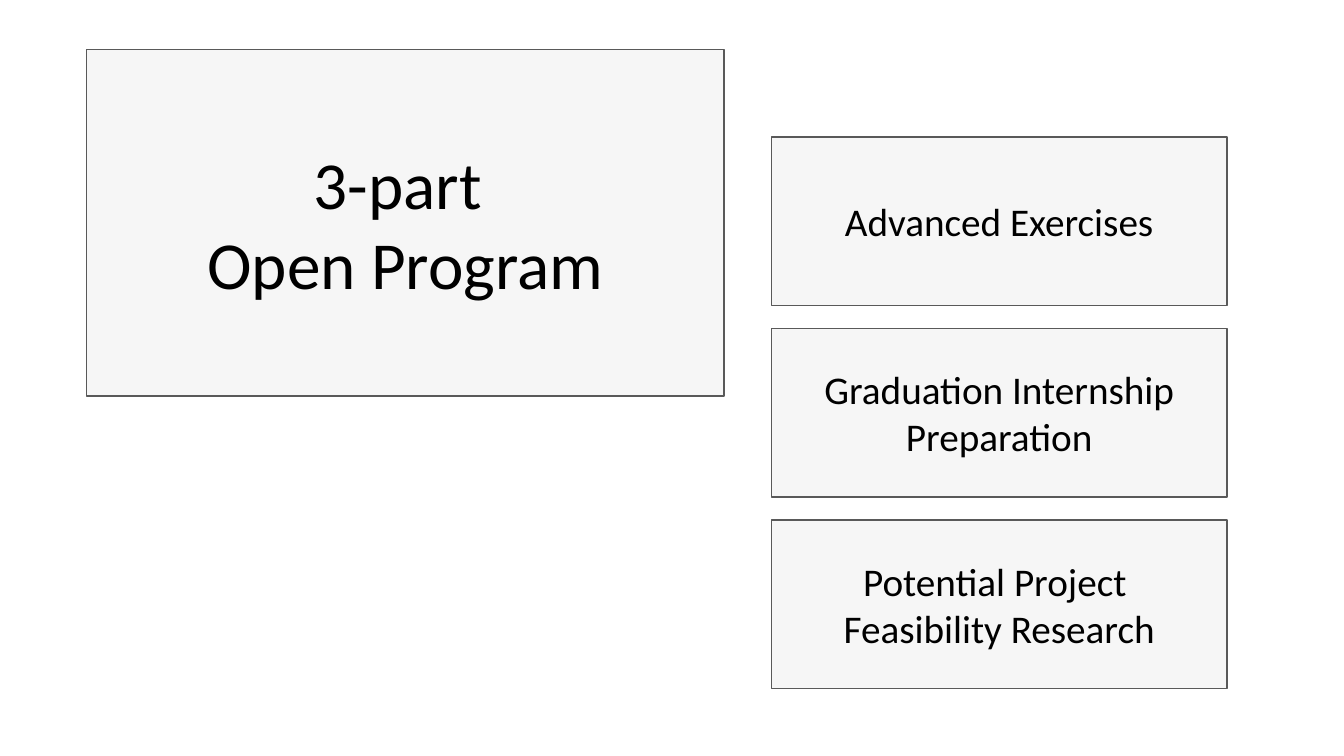
from dataclasses import dataclass

from pptx import Presentation
from pptx.dml.color import RGBColor
from pptx.enum.shapes import MSO_SHAPE
from pptx.enum.text import MSO_ANCHOR, MSO_AUTO_SIZE, PP_ALIGN
from pptx.util import Inches, Pt

RECTANGLE = MSO_SHAPE.RECTANGLE
MIDDLE = MSO_ANCHOR.MIDDLE
NO_AUTOFIT = MSO_AUTO_SIZE.NONE
CENTER = PP_ALIGN.CENTER
TITLE_ONLY = 5


@dataclass(frozen=True)
class Theme:
    font: str = "Calibri"
    text: RGBColor = RGBColor(0x00, 0x00, 0x00)
    fill: RGBColor = RGBColor(0xF6, 0xF6, 0xF6)
    border: RGBColor = RGBColor(0x59, 0x59, 0x59)
    border_width: int = Pt(1)
    title_size: int = Pt(48)
    module_size: int = Pt(28)


def set_attributes(target, values):
    for name, value in values.items():
        setattr(target, name, value)


class SlideBuilder:
    def __init__(self, slide, theme):
        self.slide = slide
        self.theme = theme

    def add_title(self, lines, left, top, width, height):
        shape = self.slide.shapes.title
        set_attributes(shape, {
            "left": Inches(left), "top": Inches(top),
            "width": Inches(width), "height": Inches(height),
        })
        self.format_box(shape, lines, self.theme.title_size)

    def add_program_box(self, lines, left, top, width, height):
        shape = self.slide.shapes.add_shape(
            RECTANGLE, Inches(left), Inches(top), Inches(width), Inches(height))
        shape.shadow.inherit = False
        self.format_box(shape, lines, self.theme.module_size)

    def format_box(self, shape, lines, size):
        shape.fill.solid()
        shape.fill.fore_color.rgb = self.theme.fill
        shape.line.color.rgb = self.theme.border
        shape.line.width = self.theme.border_width
        frame = shape.text_frame
        set_attributes(frame, {
            "text": "\n".join(lines), "word_wrap": True,
            "vertical_anchor": MIDDLE, "auto_size": NO_AUTOFIT,
        })
        for paragraph in frame.paragraphs:
            paragraph.alignment = CENTER
            for run in paragraph.runs:
                set_attributes(run.font, {"name": self.theme.font, "size": size})
                run.font.color.rgb = self.theme.text


PROGRAM = [
    ["Advanced Exercises"],
    ["Graduation Internship Preparation"],
    ["Potential Project ", "Feasibility Research"],
]
BOX_LEFT, BOX_TOP, BOX_WIDTH, BOX_HEIGHT = 7.65, 1.36, 4.52, 1.67
BOX_STEP = 1.9


def main():
    presentation = Presentation()
    set_attributes(presentation, {
        "slide_width": Inches(13.33), "slide_height": Inches(7.5),
    })
    slide = presentation.slides.add_slide(presentation.slide_layouts[TITLE_ONLY])
    builder = SlideBuilder(slide, Theme())
    builder.add_title(["3-part ", "Open Program"], 0.86, 0.49, 6.32, 3.44)
    for index, lines in enumerate(PROGRAM):
        builder.add_program_box(lines, BOX_LEFT, BOX_TOP + index * BOX_STEP,
                                BOX_WIDTH, BOX_HEIGHT)
    presentation.save("out.pptx")


if __name__ == "__main__":
    main()
